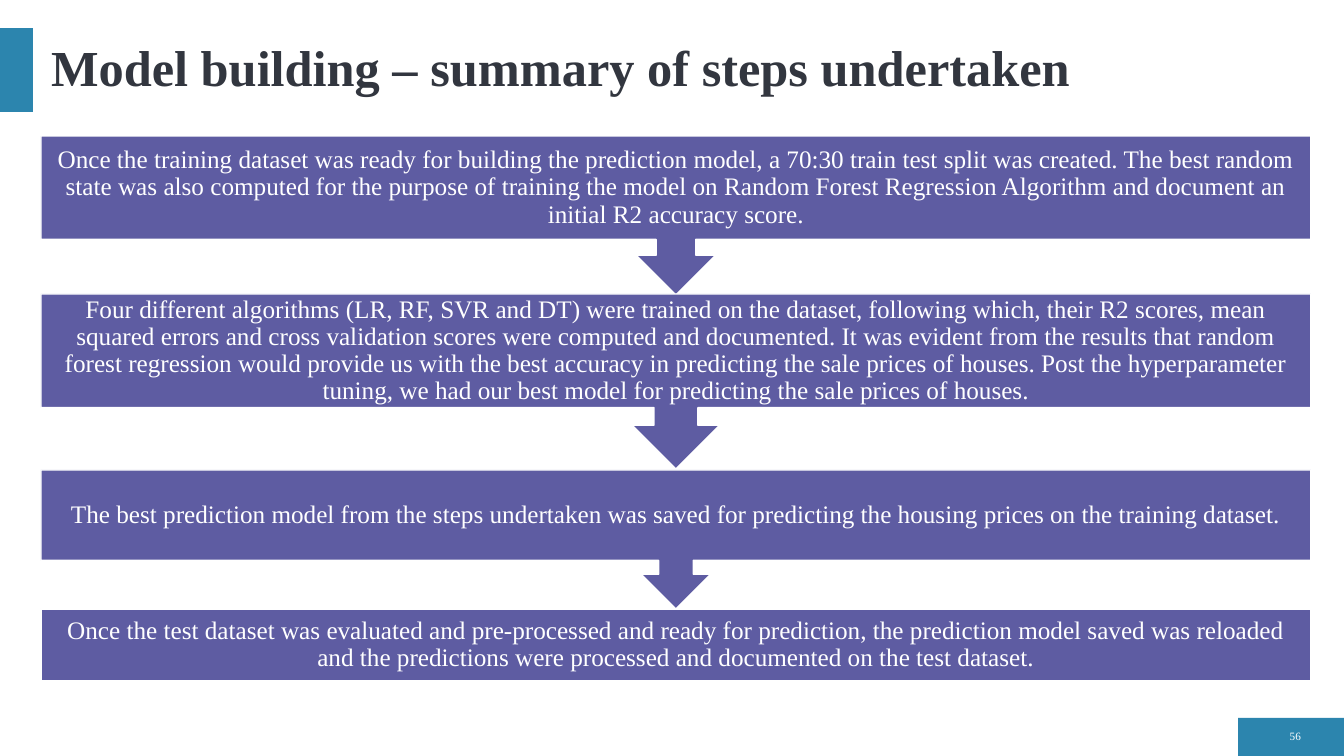
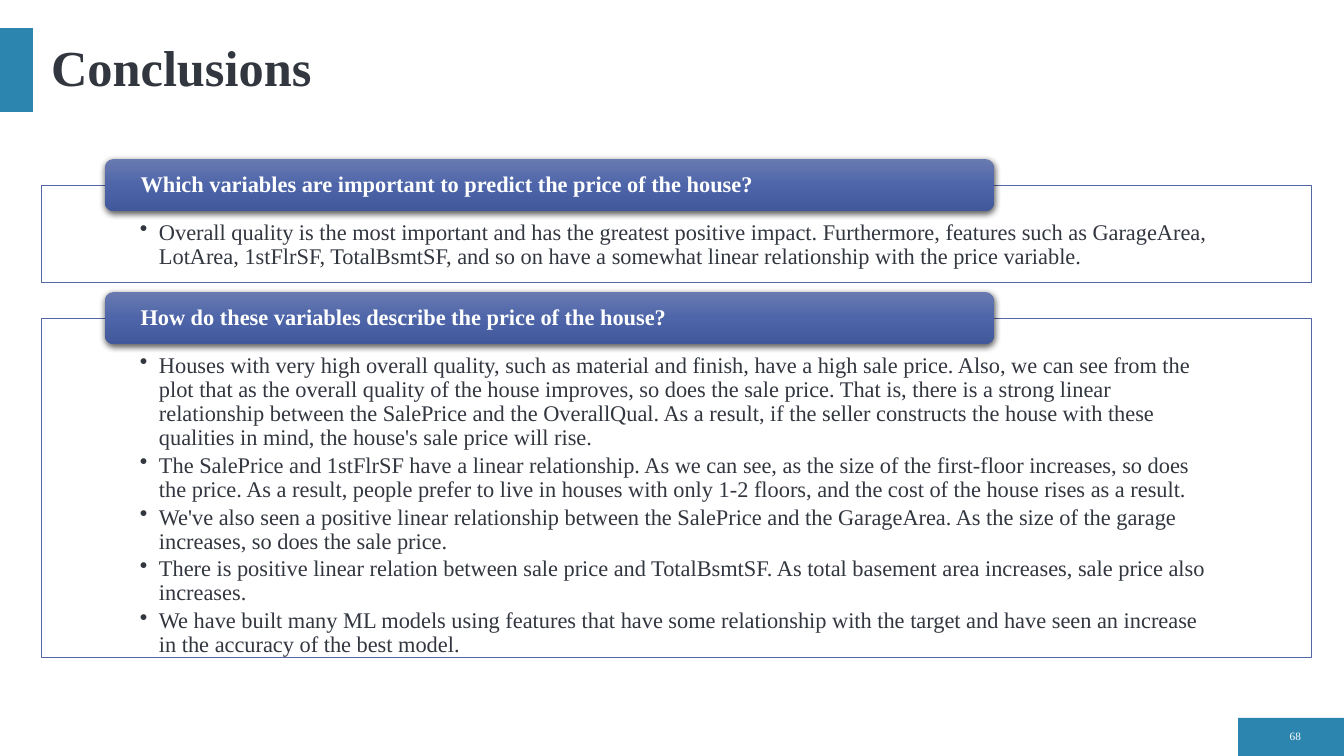
"""Build two slides: the model building steps and the conclusions."""
from pptx import Presentation
from pptx.dml.color import RGBColor
from pptx.enum.shapes import MSO_SHAPE
from pptx.enum.text import MSO_ANCHOR, MSO_AUTO_SIZE, PP_ALIGN
from pptx.oxml import parse_xml
from pptx.oxml.ns import nsdecls, qn
from pptx.util import Emu, Pt

COLORS = {
    "accent": "2C85AE",
    "ink": "32363F",
    "white": "FFFFFF",
    "step": "5E5CA2",
    "border": "5268A5",
    "header_top": "697AB0",
    "header_middle": "4E66A9",
    "header_bottom": "41599A",
    "shadow": "000000",
}
FONT = "Times New Roman"
PX = 914400 / 100.8
LEFT, WIDTH = 41, 1270

STEPS = [
    (136, 159, "Once the training dataset was ready for building the prediction model, a 70:30 train test "
     "split was created. The best random state was also computed for the purpose of training the model on "
     "Random Forest Regression Algorithm and document an initial R2 accuracy score."),
    (294, 175, "Four different algorithms (LR, RF, SVR and DT) were trained on the dataset, following which, "
     "their R2 scores, mean squared errors and cross validation scores were computed and documented. It was "
     "evident from the results that random forest regression would provide us with the best accuracy in "
     "predicting the sale prices of houses. Post the hyperparameter tuning, we had our best model for "
     "predicting the sale prices of houses."),
    (470, 139, "The best prediction model from the steps undertaken was saved for predicting the housing "
     "prices on the training dataset."),
    (609, 72, "Once the test dataset was evaluated and pre-processed and ready for prediction, the prediction "
     "model saved was reloaded and the predictions were processed and documented on the test dataset."),
]

CONCLUSIONS = [
    (159, 97, "Which variables are important to predict the price of the house?", [
        "Overall quality is the most important and has the greatest positive impact. Furthermore, features "
        "such as GarageArea, LotArea, 1stFlrSF, TotalBsmtSF, and so on have a somewhat linear relationship "
        "with the price variable.",
    ]),
    (292, 339, "How do these variables describe the price of the house?", [
        "Houses with very high overall quality, such as material and finish, have a high sale price. Also, we "
        "can see from the plot that as the overall quality of the house improves, so does the sale price. "
        "That is, there is a strong linear relationship between the SalePrice and the OverallQual. As a "
        "result, if the seller constructs the house with these qualities in mind, the house's sale price "
        "will rise.",
        "The SalePrice and 1stFlrSF have a linear relationship. As we can see, as the size of the first-floor "
        "increases, so does the price. As a result, people prefer to live in houses with only 1-2 floors, and "
        "the cost of the house rises as a result.",
        "We've also seen a positive linear relationship between the SalePrice and the GarageArea. As the size "
        "of the garage increases, so does the sale price.",
        "There is positive linear relation between sale price and TotalBsmtSF. As total basement area "
        "increases, sale price also increases.",
        "We have built many ML models using features that have some relationship with the target and have "
        "seen an increase in the accuracy of the best model.",
    ]),
]


def add_box(page, preset, bounds, fill=None, line=None, line_width=1, insets=(0, 0, 0, 0)):
    """Add a flat preset shape whose bounds and text insets are in px."""
    box = page.shapes.add_shape(preset, *[Emu(round(length * PX)) for length in bounds])
    box.shadow.inherit = False
    if fill:
        box.fill.solid()
        box.fill.fore_color.rgb = RGBColor.from_string(COLORS[fill])
    if line:
        box.line.color.rgb = RGBColor.from_string(COLORS[line])
        box.line.width = Pt(line_width)
    else:
        box.line.fill.background()
    frame = box.text_frame
    frame.word_wrap = True
    frame.vertical_anchor = MSO_ANCHOR.MIDDLE
    frame.margin_left, frame.margin_top, frame.margin_right, frame.margin_bottom = [
        Emu(round(inset * PX)) for inset in insets]
    return box


def write(para, text, size, color, align=PP_ALIGN.LEFT, bold=False):
    """Add one formatted run to a paragraph."""
    para.alignment = align
    para.line_spacing = 0.9
    span = para.add_run()
    span.text = text
    span.font.name = FONT
    span.font.size = Pt(size)
    span.font.bold = bold
    span.font.color.rgb = RGBColor.from_string(COLORS[color])


deck = Presentation()
deck.slide_width = Emu(round(1344 * PX))
deck.slide_height = Emu(round(756 * PX))

pages = []
for heading, number in [("Model building – summary of steps undertaken", "56"), ("Conclusions", "68")]:
    page = deck.slides.add_slide(deck.slide_layouts[5])
    pages.append(page)
    title = page.shapes.title
    title.left, title.top, title.width, title.height = [
        Emu(round(length * PX)) for length in (LEFT, 28, WIDTH, 84)]
    title.text_frame.auto_size = MSO_AUTO_SIZE.NONE
    title.text_frame.vertical_anchor = MSO_ANCHOR.MIDDLE
    write(title.text_frame.paragraphs[0], heading, 36, "ink", bold=True)
    add_box(page, MSO_SHAPE.RECTANGLE, (0, 28, 33, 84), "accent")
    footer = add_box(page, MSO_SHAPE.RECTANGLE, (1238, 718, 106, 38), "accent", insets=(0, 0, 43, 0))
    write(footer.text_frame.paragraphs[0], number, 8, "white", PP_ALIGN.RIGHT)

steps_page, conclusions_page = pages

for top, height, text in STEPS:
    is_last = text == STEPS[-1][2]
    preset = MSO_SHAPE.RECTANGLE if is_last else MSO_SHAPE.DOWN_ARROW_CALLOUT
    step = add_box(steps_page, preset, (LEFT, top, WIDTH, height), "step", "white", insets=(14, 0, 14, 0))
    write(step.text_frame.paragraphs[0], text, 18, "white", PP_ALIGN.CENTER)

for top, height, question, answers in CONCLUSIONS:
    panel = add_box(conclusions_page, MSO_SHAPE.RECTANGLE, (LEFT, top + 26, WIDTH, height),
                    "white", "border", 0.5, (99, 36, 99, 12))
    frame = panel.text_frame
    frame.vertical_anchor = MSO_ANCHOR.TOP
    for index, answer in enumerate(answers):
        para = frame.add_paragraph() if index else frame.paragraphs[0]
        write(para, answer, 16, "ink")
        para.space_after = Pt(2.4)
        properties = para._p.get_or_add_pPr()
        properties.set("marL", str(round(19 * PX)))
        properties.set("indent", str(round(-19 * PX)))
        properties.append(parse_xml(f'<a:buChar {nsdecls("a")} char="•"/>'))

    header = add_box(conclusions_page, MSO_SHAPE.ROUNDED_RECTANGLE, (105, top, 889, 52), insets=(33, 0, 33, 0))
    write(header.text_frame.paragraphs[0], question, 16, "white", bold=True)
    stops = "".join(
        f'<a:gs pos="{position}"><a:srgbClr val="{COLORS[name]}"/></a:gs>'
        for position, name in [(0, "header_top"), (50000, "header_middle"), (100000, "header_bottom")])
    shape_properties = header.element.spPr
    shape_properties.find(qn("a:prstGeom")).addnext(parse_xml(
        f'<a:gradFill {nsdecls("a")}><a:gsLst>{stops}</a:gsLst><a:lin ang="5400000" scaled="0"/></a:gradFill>'))
    shape_properties.find(qn("a:effectLst")).append(parse_xml(
        f'<a:outerShdw {nsdecls("a")} blurRad="{Pt(4.5)}" dist="{Pt(1.5)}" dir="5400000" algn="ctr" '
        f'rotWithShape="0"><a:srgbClr val="{COLORS["shadow"]}"><a:alpha val="63000"/></a:srgbClr></a:outerShdw>'))

deck.save("out.pptx")
